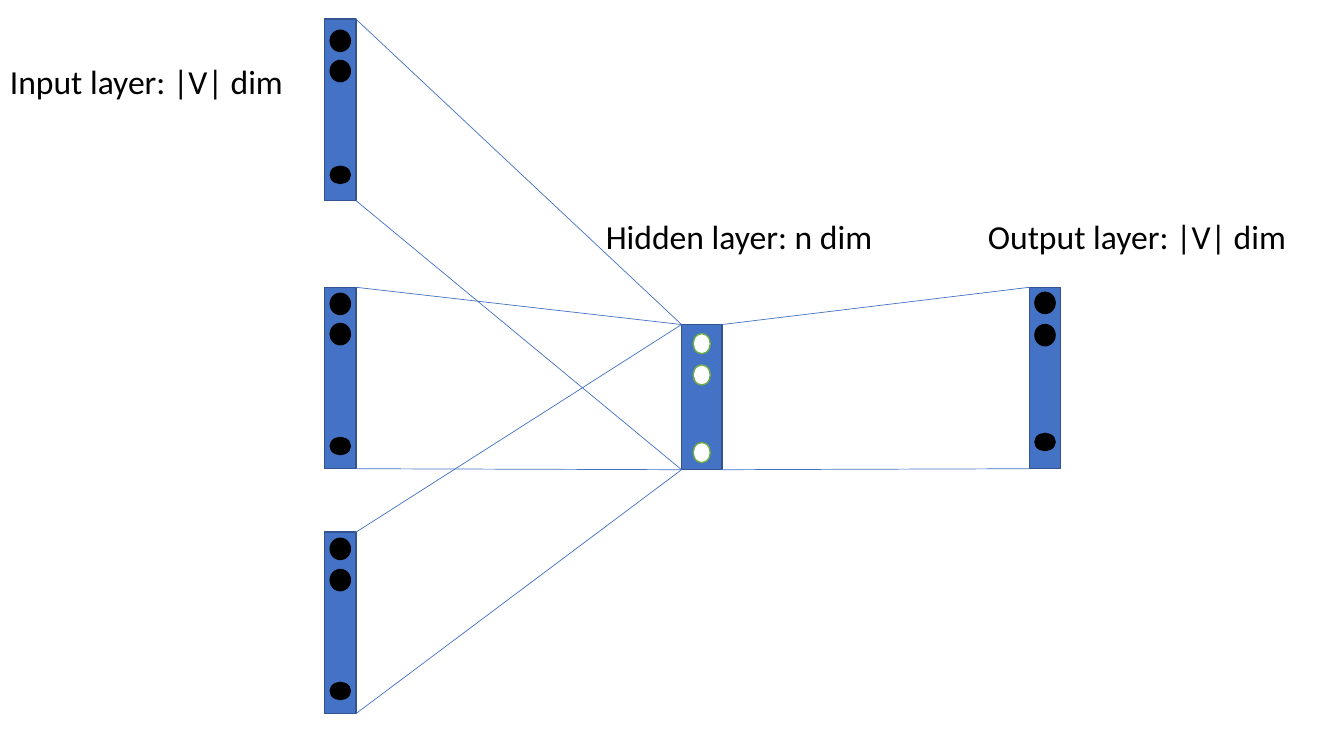
from dataclasses import dataclass

from lxml.etree import SubElement
from pptx import Presentation
from pptx.dml.color import RGBColor
from pptx.enum.shapes import MSO_CONNECTOR as Connector, MSO_SHAPE as Preset
from pptx.enum.text import MSO_AUTO_SIZE as AutoSize
from pptx.oxml.ns import qn
from pptx.slide import Slide
from pptx.util import Inches, Pt


@dataclass(frozen=True)
class Theme:
    font: str = "Calibri"
    label_size: int = 24
    outline: float = 1
    link_width: float = 0.5
    blue: str = "4472C4"
    dark_blue: str = "325491"
    green: str = "70AD47"
    black: str = "000000"
    white: str = "FFFFFF"


THEME = Theme()


@dataclass(frozen=True)
class Layer:
    left: float
    top: float
    node_tops: tuple[float, float, float]
    width: float = 0.31
    height: float = 1.8
    node_width: float = 0.2
    node_heights: tuple[float, float, float] = (0.21, 0.21, 0.17)
    node_fill: str = THEME.black
    node_line: str = THEME.black

    @property
    def right(self) -> float:
        return self.left + self.width

    @property
    def bottom(self) -> float:
        return self.top + self.height


@dataclass(frozen=True)
class Label:
    text: str
    left: float
    top: float
    width: float


@dataclass(frozen=True)
class Link:
    start: tuple[float, float]
    end: tuple[float, float]


INPUTS = [
    Layer(3.22, 0.19, (0.3, 0.6, 1.65)),
    Layer(3.22, 2.85, (2.91, 3.21, 4.34)),
    Layer(3.22, 5.28, (5.34, 5.65, 6.77)),
]
HIDDEN = Layer(6.76, 3.22, (3.31, 3.62, 4.39), 0.4, 1.44, 0.17,
               (0.2, 0.2, 0.2), THEME.white, THEME.green)
OUTPUT = Layer(10.21, 2.85, (2.9, 3.22, 4.3))

LABELS = [
    Label("Input layer: |V| dim", 0, 0.56, 3.06),
    Label("Hidden layer: n dim", 5.91, 2.09, 2.85),
    Label("Output layer: |V| dim", 9.7, 2.09, 3.47),
]


def color(value: str) -> RGBColor:
    return RGBColor.from_string(value)


def draw_shape(page: Slide, preset: Preset, left: float, top: float,
               width: float, height: float, fill: str, line: str) -> None:
    shape = page.shapes.add_shape(preset, Inches(left), Inches(top),
                                  Inches(width), Inches(height))
    shape.shadow.inherit = False
    shape.fill.solid()
    shape.fill.fore_color.rgb = color(fill)
    shape.line.color.rgb = color(line)
    shape.line.width = Pt(THEME.outline)


def draw_layer(page: Slide, layer: Layer) -> None:
    draw_shape(page, Preset.RECTANGLE, layer.left, layer.top, layer.width,
               layer.height, THEME.blue, THEME.dark_blue)
    node_left = layer.left + (layer.width - layer.node_width) / 2
    for top, height in zip(layer.node_tops, layer.node_heights):
        draw_shape(page, Preset.OVAL, node_left, top, layer.node_width, height,
                   layer.node_fill, layer.node_line)


def draw_link(page: Slide, link: Link) -> None:
    ends = [Inches(value) for value in (*link.start, *link.end)]
    line = page.shapes.add_connector(Connector.STRAIGHT, *ends)
    line.line.color.rgb = color(THEME.blue)
    line.line.width = Pt(THEME.link_width)
    SubElement(line._element.spPr, qn("a:effectLst"))


def draw_label(page: Slide, label: Label) -> None:
    box = page.shapes.add_textbox(Inches(label.left), Inches(label.top),
                                  Inches(label.width), Inches(0.5))
    frame = box.text_frame
    frame.word_wrap = True
    frame.auto_size = AutoSize.SHAPE_TO_FIT_TEXT
    span = frame.paragraphs[0].add_run()
    span.text = label.text
    span.font.name = THEME.font
    span.font.size = Pt(THEME.label_size)
    span.font.color.rgb = color(THEME.black)


def layer_links(source: Layer, target: Layer) -> list[Link]:
    """Join the facing top corners and the facing bottom corners."""
    return [
        Link((source.right, source.top), (target.left, target.top)),
        Link((source.right, source.bottom), (target.left, target.bottom)),
    ]


def main() -> None:
    deck = Presentation()
    deck.slide_width, deck.slide_height = Inches(13.33), Inches(7.5)
    page = deck.slides.add_slide(deck.slide_layouts[6])

    # Layers with their nodes
    for layer in (*INPUTS, HIDDEN, OUTPUT):
        draw_layer(page, layer)

    # Links from inputs to hidden, and from hidden to output
    pairs = [(source, HIDDEN) for source in INPUTS] + [(HIDDEN, OUTPUT)]
    for source, target in pairs:
        for link in layer_links(source, target):
            draw_link(page, link)

    # Layer names
    for label in LABELS:
        draw_label(page, label)

    deck.save("out.pptx")


if __name__ == "__main__":
    main()
